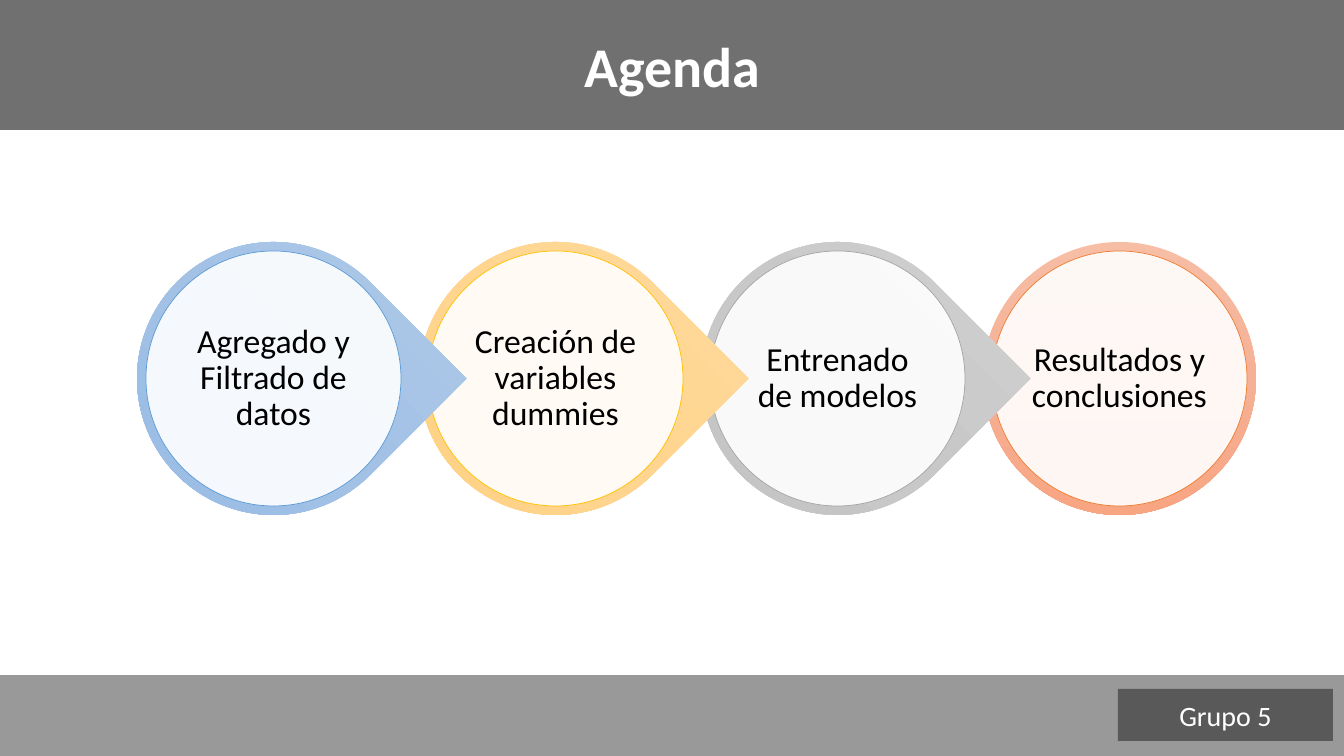
from copy import deepcopy

from lxml import etree
from pptx import Presentation
from pptx import util as u
from pptx.dml.color import RGBColor
from pptx.enum import shapes, text
from pptx.oxml import ns

PX = 914400 / 100.8
WIDTH, HEIGHT = 1344, 756

WHITE = RGBColor(0xFF, 0xFF, 0xFF)
BLACK = RGBColor(0x00, 0x00, 0x00)
DARK_GREY = RGBColor(0x59, 0x59, 0x59)
MID_GREY = RGBColor(0x80, 0x80, 0x80)
BLUE = RGBColor(0x5B, 0x9B, 0xD5)
GOLD = RGBColor(0xFF, 0xC0, 0x00)
SILVER = RGBColor(0xA5, 0xA5, 0xA5)
ORANGE = RGBColor(0xED, 0x7D, 0x31)
BLUE_BLEND = [RGBColor(0xB1, 0xCB, 0xE9), RGBColor(0xA3, 0xC1, 0xE5), RGBColor(0x93, 0xB9, 0xE4)]
GOLD_BLEND = [RGBColor(0xFF, 0xDB, 0x9E), RGBColor(0xFF, 0xD5, 0x90), RGBColor(0xFF, 0xD0, 0x7C)]
SILVER_BLEND = [RGBColor(0xD2, 0xD2, 0xD2), RGBColor(0xC8, 0xC8, 0xC8), RGBColor(0xC0, 0xC0, 0xC0)]
ORANGE_BLEND = [RGBColor(0xF7, 0xBD, 0xA5), RGBColor(0xF5, 0xB1, 0x96), RGBColor(0xF8, 0xA5, 0x82)]

STEPS = [
    ("Agregado y Filtrado de datos", BLUE, BLUE_BLEND),
    ("Creación de variables dummies", GOLD, GOLD_BLEND),
    ("Entrenado de modelos", SILVER, SILVER_BLEND),
    ("Resultados y conclusiones", ORANGE, ORANGE_BLEND),
]


def px(*lengths):
    return [u.Emu(round(length * PX)) for length in lengths]


def add_plain_shape(parent, kind, box):
    shape = parent.shapes.add_shape(kind, *px(*box))
    shape.shadow.inherit = False
    shape.line.fill.background()
    return shape


def fill_solid(shape, color, opacity=100):
    shape.fill.solid()
    shape.fill.fore_color.rgb = color
    if opacity < 100:
        color_node = shape.fill._xPr.find(ns.qn("a:solidFill"))[0]
        etree.SubElement(color_node, ns.qn("a:alpha"), val=str(opacity * 1000))


def fill_gradient(shape, colors):
    shape.fill.gradient()
    shape.fill.gradient_angle = 270
    stop_list = shape._element.spPr.find(".//" + ns.qn("a:gsLst"))
    stop_list.insert(1, deepcopy(stop_list[0]))
    for index, (stop, color) in enumerate(zip(shape.fill.gradient_stops, colors)):
        stop.position = index / 2
        stop.color.rgb = color


def write(shape, words, size, color, bold=False, line_spacing=None):
    frame = shape.text_frame
    frame.word_wrap = True
    frame.vertical_anchor = text.MSO_ANCHOR.MIDDLE
    paragraph = frame.paragraphs[0]
    paragraph.alignment = text.PP_ALIGN.CENTER
    paragraph.line_spacing = line_spacing
    run = paragraph.add_run()
    run.text = words
    run.font.name = "Calibri"
    run.font.size = u.Pt(size)
    run.font.bold = bold
    run.font.color.rgb = color


def add_footer(slide, box):
    left, top, width, height = box
    band = add_plain_shape(slide, shapes.MSO_SHAPE.RECTANGLE, box)
    fill_solid(band, MID_GREY, 80)
    return left + width - 226, top + 14, 215, 52


def add_panel(slide, box):
    panel = add_plain_shape(slide, shapes.MSO_SHAPE.ROUNDED_RECTANGLE, box)
    panel.adjustments[0] = 0.05
    fill_solid(panel, WHITE, 86)


def add_group_label(slide, box):
    label = add_plain_shape(slide, shapes.MSO_SHAPE.RECTANGLE, box)
    fill_solid(label, DARK_GREY)
    write(label, "Grupo 5", 20, WHITE)


def add_header(slide, box):
    header = add_plain_shape(slide, shapes.MSO_SHAPE.RECTANGLE, box)
    fill_solid(header, DARK_GREY, 86)
    write(header, "Agenda", 40, WHITE, bold=True)


def add_step(group, box, words, accent, blend, is_last):
    left, top, size, _ = box
    kind = shapes.MSO_SHAPE.OVAL if is_last else shapes.MSO_SHAPE.TEAR
    ring = add_plain_shape(group, kind, box)
    fill_gradient(ring, blend)
    if not is_last:
        ring.adjustments[0] = 1
        ring.rotation = 45

    rim = 9
    disc_box = left + rim, top + rim, size - 2 * rim, size - 2 * rim
    disc = add_plain_shape(group, shapes.MSO_SHAPE.OVAL, disc_box)
    fill_solid(disc, WHITE, 90)
    disc.line.color.rgb = accent
    disc.line.width = u.Pt(0.5)

    inset = 45
    caption_box = left + inset, top + inset, size - 2 * inset, size - 2 * inset
    caption = group.shapes.add_textbox(*px(*caption_box))
    frame = caption.text_frame
    frame.margin_left = frame.margin_top = frame.margin_right = frame.margin_bottom = px(3)[0]
    write(caption, words, 24, BLACK, line_spacing=0.9)


def add_agenda(slide, box):
    left, top, width, size = box
    last = len(STEPS) - 1
    pitch = (width - size) / last
    group = slide.shapes.add_group_shape()
    for index, (words, accent, blend) in reversed(list(enumerate(STEPS))):
        step_box = left + index * pitch, top, size, size
        add_step(group, step_box, words, accent, blend, index == last)


def main():
    presentation = Presentation()
    presentation.slide_width, presentation.slide_height = px(WIDTH, HEIGHT)
    slide = presentation.slides.add_slide(presentation.slide_layouts[6])
    label_box = add_footer(slide, (0, 675, WIDTH, 81))
    add_panel(slide, (17, 145, 1316, 516))
    add_group_label(slide, label_box)
    add_header(slide, (0, 0, WIDTH, 130))
    add_agenda(slide, (137, 242, 1119, 273))
    presentation.save("out.pptx")


if __name__ == "__main__":
    main()
